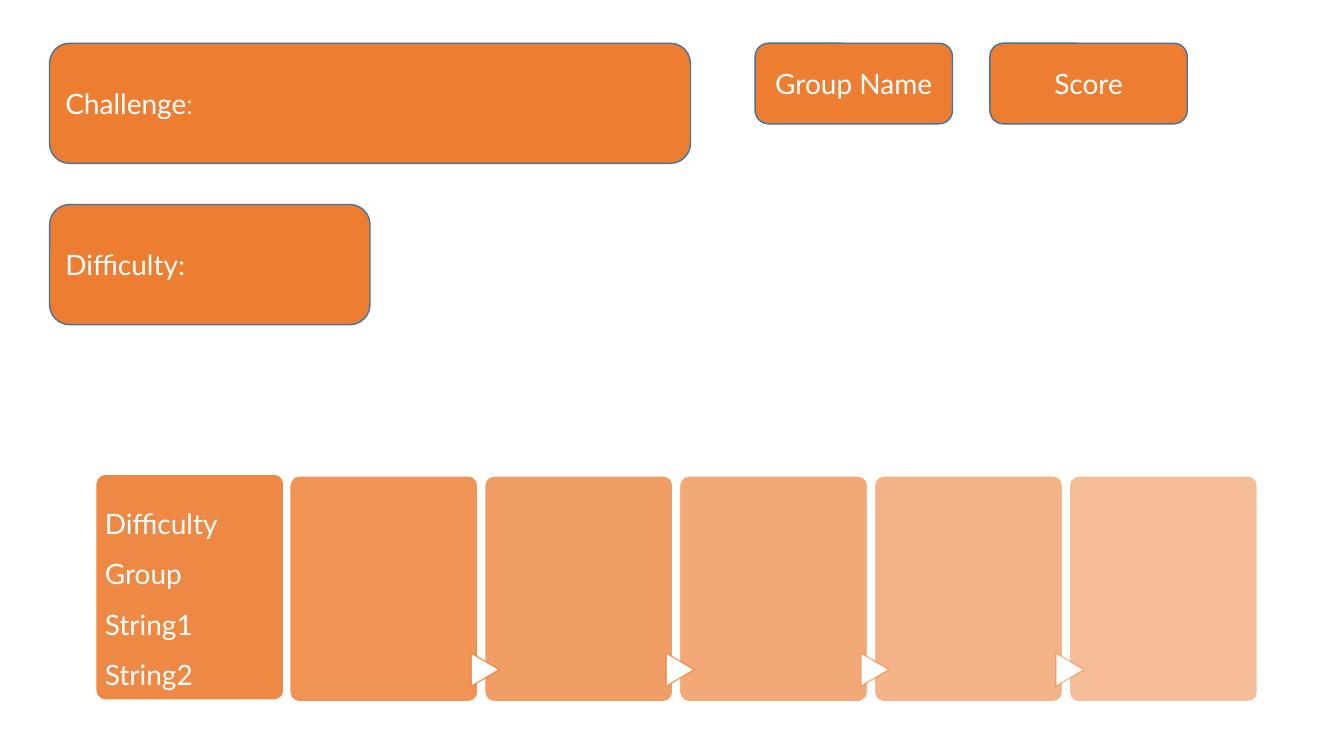
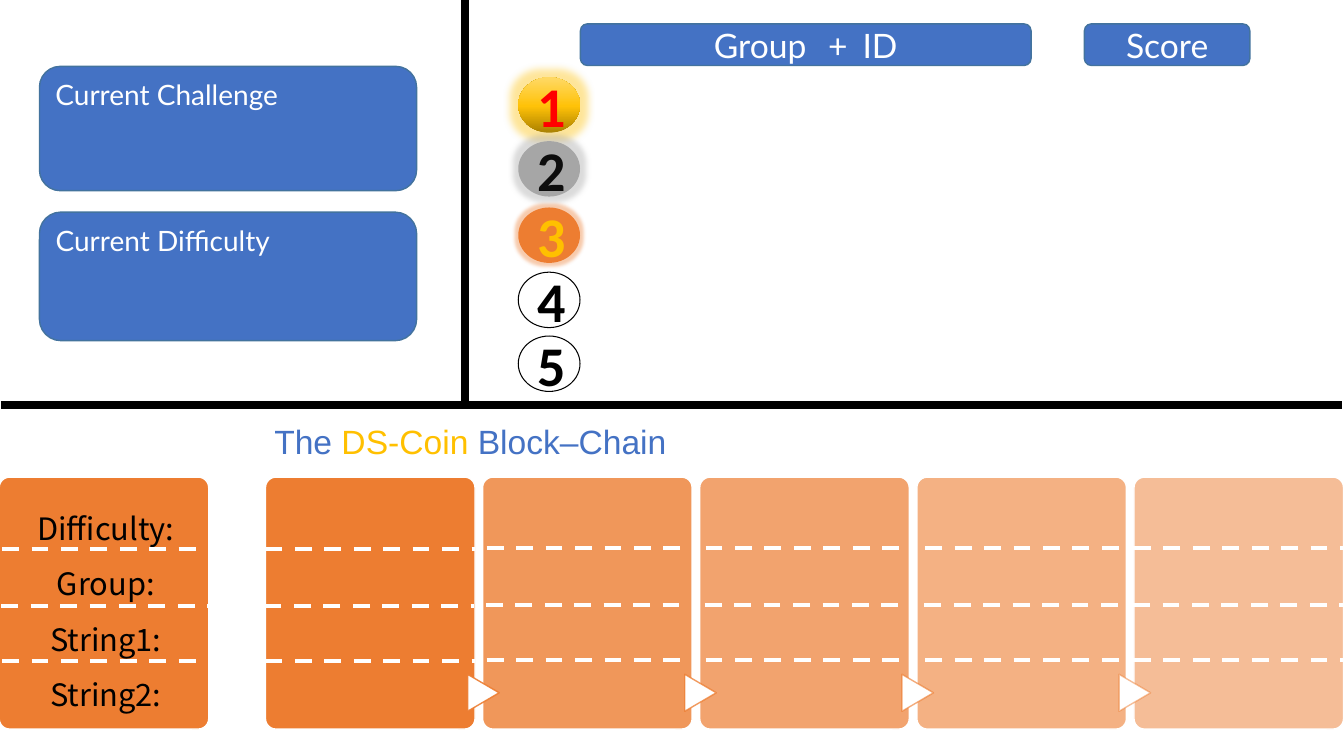
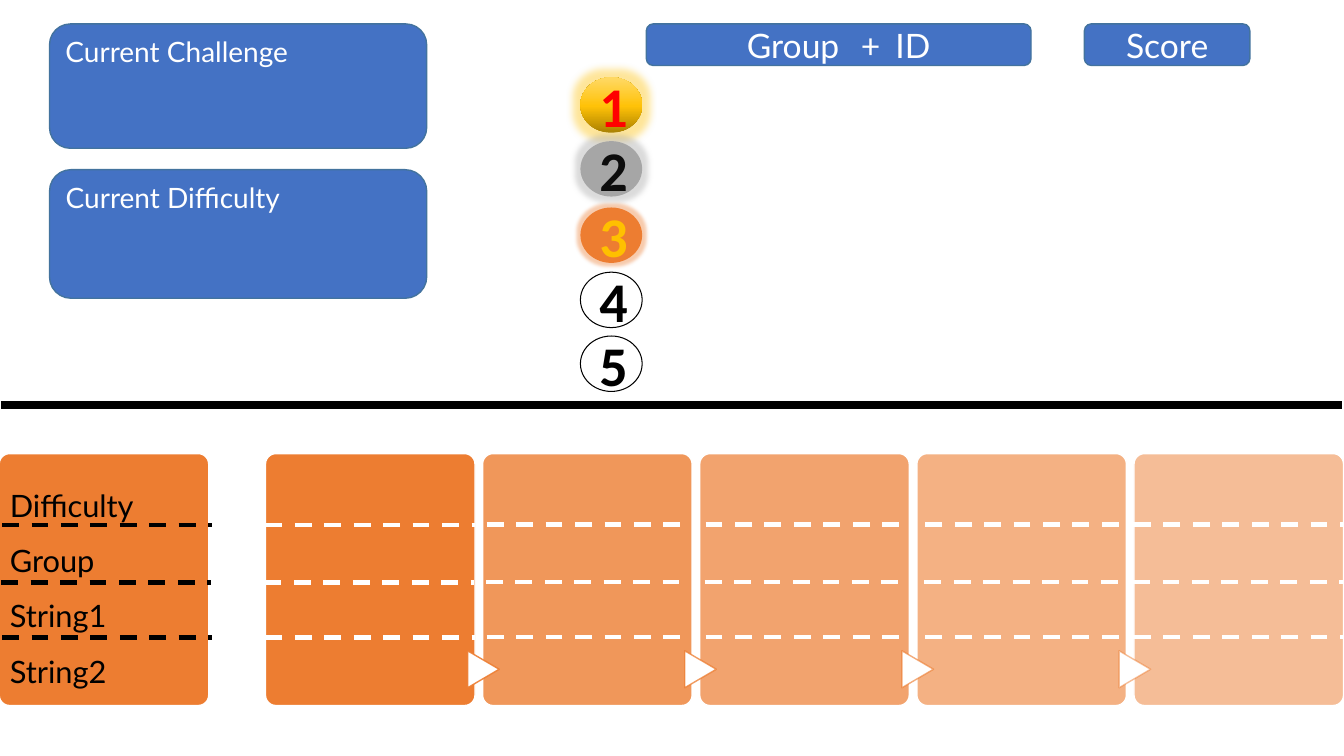
import pptx
import pptx.dml.color
import pptx.enum.dml
import pptx.enum.shapes
import pptx.enum.text
import pptx.oxml
import pptx.oxml.ns
import pptx.util

RGB = pptx.dml.color.RGBColor
SHAPE = pptx.enum.shapes.MSO_SHAPE
ANCHOR = pptx.enum.text.MSO_ANCHOR
ALIGN = pptx.enum.text.PP_ALIGN
FIT = pptx.enum.text.MSO_AUTO_SIZE
qn = pptx.oxml.ns.qn

WHITE, BLACK = RGB(0xFF, 0xFF, 0xFF), RGB(0, 0, 0)
ORANGE, BLUE, EDGE = RGB(0xED, 0x7D, 0x31), RGB(0x44, 0x72, 0xC4), RGB(0x43, 0x73, 0x9E)
GOLD, SILVER, RED = RGB(0xFF, 0xC0, 0), RGB(0xA6, 0xA6, 0xA6), RGB(0xFF, 0, 0)
INK, GREY = RGB(0x0D, 0x0D, 0x0D), RGB(0x59, 0x59, 0x59)
GOLD_BLEND = [(0, RGB(0xAB, 0x81, 0)), (48, RGB(0xFF, 0xC2, 0x08)), (100, RGB(0xFF, 0xD9, 0x66))]
BLUE_BLEND = [(0, RGB(0x20, 0x38, 0x64)), (50, BLUE), (100, RGB(0x8F, 0xAA, 0xDC))]

COLUMNS, ROWS = 160, 90
FONT, MEDAL_FONT, TITLE_FONT, LEGEND_FONT = "Lato", "Calibri", "Arial", "Noto Sans CJK JP"
FIELDS = ["Difficulty", "Group", "String1", "String2"]
GROUP_ID = [("Group", 0), (" ", 930), ("+", 0), (" ", 460), ("ID", 0)]
MEDALS = [
    (9.2, GOLD, RED, RED, 11),
    (16.8, SILVER, INK, GREY, 8),
    (24.7, ORANGE, GOLD, GOLD, 5),
    (32.4, WHITE, BLACK, BLACK, 0),
    (40, WHITE, BLACK, BLACK, 0),
]
BLOCK_W, BLOCK_H, PITCH, CHAIN_X = 24.95, 30, 25.85, 31.6
DASH_ROWS = [(8.55, 0), (15.35, -0.1), (21.9, 0)]
DASH_SHIFTS = [0, 0.5, 0.7, 1, 0]


def element(parent, tag, **attributes):
    """Append a drawing element to parent and return it."""
    child = pptx.oxml.parse_xml(f"<a:{tag} {pptx.oxml.ns.nsdecls('a')}/>")
    for name, value in attributes.items():
        child.set(name, str(value))
    parent.append(child)
    return child


def set_alpha(owner, percent):
    """Make the first solid colour under owner translucent."""
    color = next(owner.iter(qn("a:srgbClr")))
    element(color, "alpha", val=percent * 1000)


def set_blend(fill, owner, stops, angle):
    """Give fill a linear gradient with the stops."""
    fill.gradient()
    fill.gradient_angle = angle
    stop_list = next(owner.iter(qn("a:gsLst")))
    for stop in list(stop_list):
        stop_list.remove(stop)
    for share, color in stops:
        element(element(stop_list, "gs", pos=share * 1000), "srgbClr", val=color)


class Deck:
    """Presentation style and the slide being drawn."""

    def __init__(self):
        """Start an empty widescreen presentation."""
        self.prs = pptx.Presentation()
        self.prs.slide_width = pptx.util.Inches(13.333)
        self.prs.slide_height = pptx.util.Inches(7.5)
        self.s = None

    def new_slide(self, layout=6):
        """Add a slide and make it current."""
        self.s = self.prs.slides.add_slide(self.prs.slide_layouts[layout])

    def x(self, columns):
        """Convert columns to a length."""
        return round(self.prs.slide_width * columns / COLUMNS)

    def y(self, rows):
        """Convert rows to a length."""
        return round(self.prs.slide_height * rows / ROWS)

    def frame(self, x, y, w, h):
        """Convert a grid frame to lengths."""
        return self.x(x), self.y(y), self.x(w), self.y(h)

    def style(self, r, size, color, font=FONT, bold=False):
        """Format one run."""
        r.font.size, r.font.name, r.font.bold = pptx.util.Pt(size), font, bold
        r.font.color.rgb = color

    def shape(self, kind, frame, fill, line=None, width=1, alpha=100):
        """Draw a flat filled shape."""
        sp = self.s.shapes.add_shape(kind, *self.frame(*frame))
        sp.shadow.inherit = False
        sp.fill.solid()
        sp.fill.fore_color.rgb = fill
        if alpha < 100:
            set_alpha(sp.fill._xPr, alpha)
        if line is None:
            sp.line.fill.background()
        else:
            sp.line.color.rgb, sp.line.width = line, pptx.util.Pt(width)
        return sp

    def panel(self, frame, fill, pieces, size=20, align=ALIGN.LEFT, anchor=ANCHOR.MIDDLE):
        """Draw a rounded panel with a label made of spaced pieces."""
        sp = self.shape(SHAPE.ROUNDED_RECTANGLE, frame, fill, EDGE)
        tf = sp.text_frame
        tf.vertical_anchor = anchor
        p = tf.paragraphs[0]
        p.alignment = align
        for text, spacing in pieces:
            r = p.add_run()
            r.text = text
            self.style(r, size, WHITE)
            if spacing:
                r.font._element.set("spc", str(spacing))
        return sp

    def block(self, x, y, w, h, alpha=100):
        """Draw one block of the chain."""
        sp = self.shape(SHAPE.ROUNDED_RECTANGLE, (x, y, w, h), ORANGE, WHITE, alpha=alpha)
        sp.adjustments[0] = 0.05

    def arrow(self, frame, alpha):
        """Draw the pointer between two blocks."""
        sp = self.shape(SHAPE.FLOWCHART_EXTRACT, frame, WHITE, ORANGE)
        sp.rotation = 90
        set_alpha(sp.line._get_or_add_ln(), alpha)

    def chain(self, x, y, w, h, pitch, alphas, arrow, arrow_alphas):
        """Draw a row of blocks joined by pointers."""
        dx, dy, arrow_w, arrow_h = arrow
        for i, alpha in enumerate(alphas):
            self.block(x + i * pitch, y, w, h, alpha)
            if i:
                self.arrow((x + i * pitch + dx, y + dy, arrow_w, arrow_h), arrow_alphas[i - 1])

    def line(self, x1, y1, x2, y2, color=BLACK, width=6, dashed=False):
        """Draw a straight line."""
        c = self.s.shapes.add_connector(
            pptx.enum.shapes.MSO_CONNECTOR.STRAIGHT, self.x(x1), self.y(y1), self.x(x2), self.y(y2))
        c.line.color.rgb, c.line.width = color, pptx.util.Pt(width)
        if dashed:
            c.line.dash_style = pptx.enum.dml.MSO_LINE.DASH
        element(c._element.spPr, "effectLst")

    def dashes(self, x, y, color):
        """Draw the three field separators of a block."""
        for row, shift in DASH_ROWS:
            self.line(x + shift, y + row, x + shift + BLOCK_W, y + row, color, 3, True)

    def fields(self, frame, texts, size, color, font=FONT, align=ALIGN.LEFT):
        """Write the field names of a block."""
        tf = self.s.shapes.add_textbox(*self.frame(*frame)).text_frame
        tf.word_wrap, tf.auto_size = True, FIT.SHAPE_TO_FIT_TEXT
        tf.text = "\n".join(texts)
        for p in tf.paragraphs:
            p.line_spacing, p.alignment = 1.5, align
            self.style(p.runs[0], size, color, font)

    def medal(self, x, y, rank, fill, color, outline, glow):
        """Draw a numbered rank medal."""
        edge = None if glow else BLACK
        sp = self.shape(SHAPE.OVAL, (x, y, 7.35, 6.6), fill, edge, 0.75)
        if rank == 1:
            set_blend(sp.fill, sp._element.spPr, GOLD_BLEND, 90)
        if glow:
            effects = sp._element.spPr.find(qn("a:effectLst"))
            halo = element(effects, "glow", rad=pptx.util.Pt(glow))
            element(element(halo, "srgbClr", val=fill), "alpha", val=40000)
        tf = sp.text_frame
        tf.text, tf.vertical_anchor = str(rank), ANCHOR.MIDDLE
        p = tf.paragraphs[0]
        p.alignment = ALIGN.CENTER
        r = p.runs[0]
        self.style(r, 40, color, MEDAL_FONT, True)
        ln = element(r.font._element, "ln", w=pptx.util.Pt(0.8))
        element(element(ln, "solidFill"), "srgbClr", val=outline)
        r.font._element.insert(0, ln)

    def title(self, frame, pieces):
        """Write the slide title in coloured pieces."""
        sp = self.s.shapes.title
        sp.left, sp.top, sp.width, sp.height = self.frame(*frame)
        tf = sp.text_frame
        tf.word_wrap, tf.auto_size, tf.vertical_anchor = True, FIT.NONE, ANCHOR.TOP
        p = tf.paragraphs[0]
        p.alignment = ALIGN.LEFT
        for text, color in pieces:
            r = p.add_run()
            r.text = text
            self.style(r, 24, color, TITLE_FONT)
            if color == BLUE:
                set_blend(r.font.fill, r.font._element, BLUE_BLEND, 270)

    def board(self, panel_x, panel_y, group_x, medal_x, chain_y, texts, font, align, legend_color):
        """Draw the scoreboard with the chain below it."""
        self.block(-0.1, chain_y, BLOCK_W, BLOCK_H)
        for name, top, height in (("Challenge", 0, 14.8), ("Difficulty", 17.35, 15.3)):
            self.panel((panel_x, panel_y + top, 44.9, height), BLUE,
                       [(f"Current {name}", 0)], anchor=ANCHOR.TOP)
        self.panel((group_x, 2.85, 122.75 - group_x, 4.95), BLUE, GROUP_ID, 24, ALIGN.CENTER)
        self.panel((129.1, 2.85, 19.7, 4.95), BLUE, [("Score", 0)], 24, ALIGN.CENTER)
        self.chain(CHAIN_X, chain_y, BLOCK_W, BLOCK_H, PITCH, [100, 80, 70, 60, 50],
                   (-2.1, 23.8, 4.4, 3.75), [90, 77, 63, 50])
        self.fields((0, chain_y + 1.1, 25.2, 27.8), texts, 22, BLACK, font, align)
        self.dashes(0.25, chain_y, legend_color)
        for rank, (top, *look) in enumerate(MEDALS, 1):
            self.medal(medal_x, top, rank, *look)
        for i, shift in enumerate(DASH_SHIFTS):
            self.dashes(CHAIN_X + i * PITCH + shift, chain_y - (0.1 if i else 0), WHITE)
        self.line(0.1, 48.25, 159.75, 48.25)


deck = Deck()

deck.new_slide()
challenge = deck.panel((5.9, 5.15, 76.3, 14.3), ORANGE, [("Challenge", 0), (":", 0)])
colon = challenge.text_frame.paragraphs[0].runs[1]
deck.style(colon, 18, WHITE, "Roboto Slab")
deck.panel((5.9, 24.35, 38.15, 14.3), ORANGE, [("Difficulty:", 0)])
for label, left in (("Group Name", 89.9), ("Score", 117.85)):
    deck.panel((left, 5.15, 23.5, 9.6), ORANGE, [(label, 0)], align=ALIGN.CENTER)
deck.block(11.4, 56.45, 22.4, 26.9, 90)
deck.chain(34.5, 56.65, 22.4, 26.9, 23.2, [82, 74, 66, 58, 50],
           (-1.9, 21.4, 3.95, 3.35), [80, 70, 60, 50])
deck.fields((11.3, 57.7, 23, 24.7), FIELDS, 20, WHITE)

deck.new_slide(5)
deck.title((31.45, 49.55, 95.2, 6), [("The ", BLUE), ("DS-Coin", GOLD), (" Block–Chain", BLUE)])
deck.board(4.7, 7.9, 69.1, 61.7, 56.8, [f"{name}:" for name in FIELDS],
           LEGEND_FONT, ALIGN.CENTER, WHITE)
deck.line(55.35, 48.25, 55.35, 0)

deck.new_slide()
deck.board(5.9, 2.85, 76.95, 69.1, 54, FIELDS, FONT, ALIGN.LEFT, BLACK)

deck.prs.save("out.pptx")
